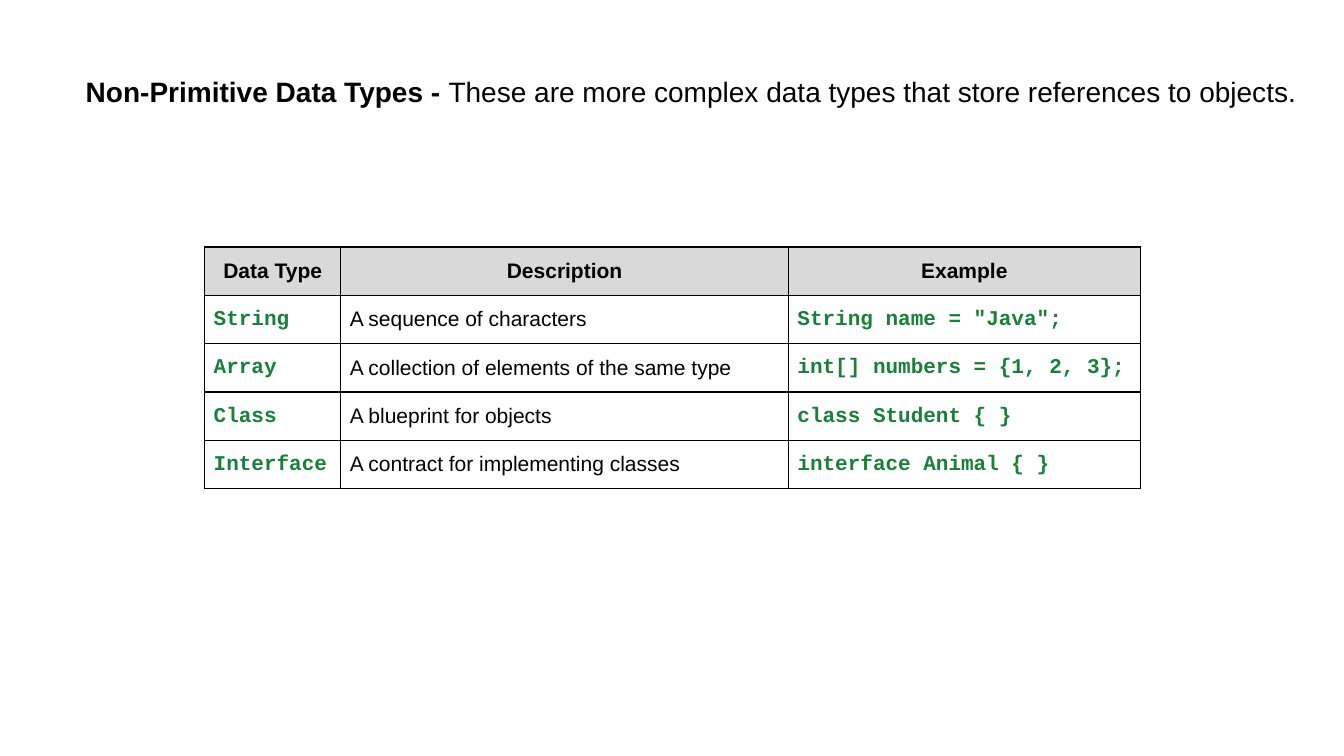
import pptx
import pptx.util
import pptx.dml.color
import pptx.enum.text
import pptx.oxml
import pptx.oxml.ns

HEADING = [
    ("Non-Primitive Data Types - ", True),
    ("These are more complex data types that store references to objects.", False),
]
HEADERS = ("Data Type", "Description", "Example")
DATA_TYPES = [
    ("String", "A sequence of characters", 'String name = "Java";'),
    ("Array", "A collection of elements of the same type", "int[] numbers = {1, 2, 3};"),
    ("Class", "A blueprint for objects", "class Student { }"),
    ("Interface", "A contract for implementing classes", "interface Animal { }"),
]

BLACK = pptx.dml.color.RGBColor(0x00, 0x00, 0x00)
CODE_GREEN = pptx.dml.color.RGBColor(0x18, 0x80, 0x38)
HEADER_GREY = pptx.dml.color.RGBColor(0xD9, 0xD9, 0xD9)

SLIDE_WIDTH, SLIDE_HEIGHT = 13.33, 7.5
HEADING_LEFT, HEADING_TOP, HEADING_HEIGHT = 0.72, 0.56, 1.11
HEADING_INSET, CELL_INSET = 0.13, 0.09
COLUMN_WIDTHS = (1.35, 4.44, 3.49)
ROW_HEIGHT = 0.48
TABLE_LEFT, TABLE_TOP = 2.03, 2.45

inches = pptx.util.Inches
ALIGN = pptx.enum.text.PP_ALIGN


def write(paragraph, text, size=15, font="Arial", color=BLACK, bold=False, align=ALIGN.LEFT):
    paragraph.alignment = align
    paragraph.line_spacing = 1.15
    run = paragraph.add_run()
    run.text = text
    run.font.size = pptx.util.Pt(size)
    run.font.name = font
    run.font.bold = bold
    run.font.color.rgb = color


def set_insets(holder, inset):
    holder.margin_left = holder.margin_right = inches(inset)
    holder.margin_top = holder.margin_bottom = inches(inset)


def add_borders(cell):
    properties = cell._tc.get_or_add_tcPr()
    for position, side in enumerate(("lnL", "lnR", "lnT", "lnB")):
        border = pptx.oxml.parse_xml(
            f'<a:{side} {pptx.oxml.ns.nsdecls("a")} w="{pptx.util.Pt(1)}">'
            f'<a:solidFill><a:srgbClr val="{BLACK}"/></a:solidFill></a:{side}>'
        )
        properties.insert(position, border)


def add_heading(slide):
    heading = slide.shapes.add_textbox(
        inches(HEADING_LEFT), inches(HEADING_TOP),
        inches(SLIDE_WIDTH - HEADING_LEFT), inches(HEADING_HEIGHT),
    ).text_frame
    heading.word_wrap = True
    set_insets(heading, HEADING_INSET)
    for text, bold in HEADING:
        write(heading.paragraphs[0], text, size=20, bold=bold)
    heading.paragraphs[0].space_after = pptx.util.Pt(16)


def add_data_types(slide):
    rows = [HEADERS] + DATA_TYPES
    table = slide.shapes.add_table(
        len(rows), len(HEADERS), inches(TABLE_LEFT), inches(TABLE_TOP),
        inches(sum(COLUMN_WIDTHS)), inches(ROW_HEIGHT * len(rows)),
    ).table
    table.first_row = table.horz_banding = False
    for column, width in zip(table.columns, COLUMN_WIDTHS):
        column.width = inches(width)
    for row_index, row in enumerate(rows):
        table.rows[row_index].height = inches(ROW_HEIGHT)
        for column_index, text in enumerate(row):
            cell = table.cell(row_index, column_index)
            set_insets(cell, CELL_INSET)
            if row_index == 0:
                cell.fill.solid()
                cell.fill.fore_color.rgb = HEADER_GREY
                style = dict(bold=True, align=ALIGN.CENTER)
            else:
                cell.fill.background()
                is_code = HEADERS[column_index] != "Description"
                style = dict(font="Courier New", color=CODE_GREEN, bold=True) if is_code else {}
            write(cell.text_frame.paragraphs[0], text, **style)
            add_borders(cell)


def main():
    presentation = pptx.Presentation()
    presentation.slide_width = inches(SLIDE_WIDTH)
    presentation.slide_height = inches(SLIDE_HEIGHT)
    slide = presentation.slides.add_slide(presentation.slide_layouts[6])
    add_data_types(slide)
    add_heading(slide)
    presentation.save("out.pptx")


if __name__ == "__main__":
    main()
